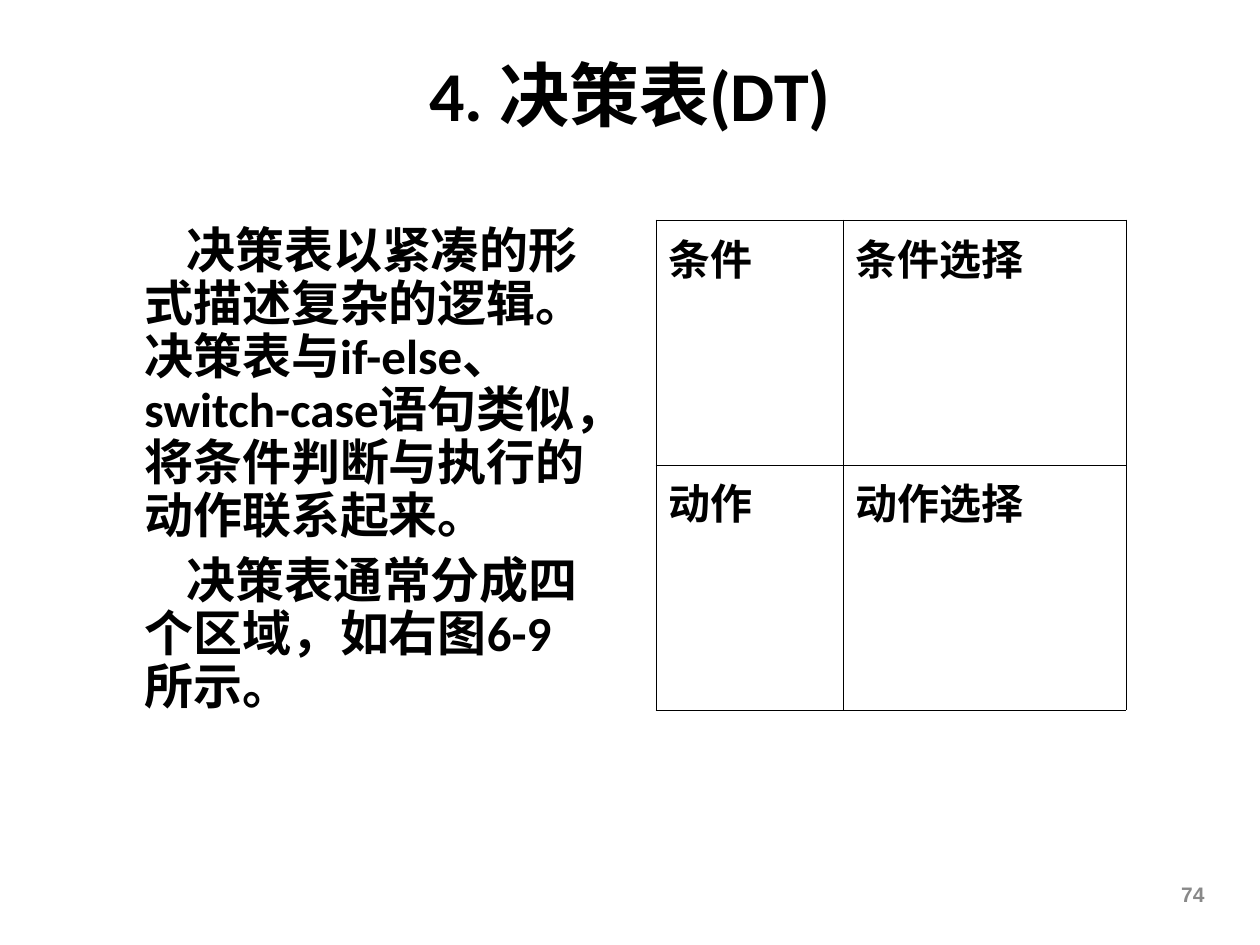
from dataclasses import dataclass

from lxml import etree
from pptx import Presentation
from pptx.dml.color import RGBColor
from pptx.enum.text import MSO_ANCHOR, PP_ALIGN
from pptx.oxml.ns import qn
from pptx.util import Pt

MIDDLE, TOP = MSO_ANCHOR.MIDDLE, MSO_ANCHOR.TOP
LEFT, CENTER, RIGHT = PP_ALIGN.LEFT, PP_ALIGN.CENTER, PP_ALIGN.RIGHT

TITLE = "4. 决策表(DT)"
BODY = [
    "决策表以紧凑的形式描述复杂的逻辑。决策表与if-else、switch-case语句类似，将条件判断与执行的动作联系起来。",
    "决策表通常分成四个区域，如右图6-9所示。",
]
QUADRANTS = [("条件", "条件选择"), ("动作", "动作选择")]
PAGE_NUMBER = "74"

SLIDE_SIZE = (1260, 945)
TITLE_BOX = (42, 32, 1176, 123)
BODY_BOX = (84, 220, 527, 580)
NUMBER_BOX = (902, 861, 315, 66)
TABLE_ORIGIN = (656, 220)
COLUMN_WIDTHS = (187, 283)
ROW_HEIGHT = 245
BODY_MARGIN, BODY_INDENT = 48, 42


@dataclass(frozen=True)
class Theme:
    ink: str = "000000"
    muted: str = "898989"
    main_font: str = "Calibri"
    table_font: str = "Times New Roman"
    number_font: str = "Arial"
    title_size: int = 40
    body_size: int = 28
    table_size: int = 24
    number_size: int = 12
    border_width: float = 0.45


THEME = Theme()


def px(length):
    return round(length * 914400 / 126)


def write(frame, texts, font, size, color=THEME.ink, align=LEFT, anchor=TOP):
    frame.word_wrap = True
    frame.vertical_anchor = anchor
    frame.text = "\n".join(texts)
    for paragraph in frame.paragraphs:
        paragraph.alignment = align
        paragraph.font.name = font
        paragraph.font.size = Pt(size)
        paragraph.font.bold = True
        paragraph.font.color.rgb = RGBColor.from_string(color)


def add_text(slide, box, *args, **options):
    shape = slide.shapes.add_textbox(*map(px, box))
    write(shape.text_frame, *args, **options)
    return shape.text_frame


def draw_borders(cell):
    properties = cell._tc.get_or_add_tcPr()
    for position, side in enumerate(("a:lnL", "a:lnR", "a:lnT", "a:lnB")):
        line = etree.Element(qn(side), w=str(Pt(THEME.border_width)))
        fill = etree.SubElement(line, qn("a:solidFill"))
        etree.SubElement(fill, qn("a:srgbClr"), val=THEME.ink)
        properties.insert(position, line)


def add_title(slide):
    title = slide.shapes.title
    title.left, title.top, title.width, title.height = map(px, TITLE_BOX)
    write(title.text_frame, [TITLE], THEME.main_font, THEME.title_size,
          align=CENTER, anchor=MIDDLE)


def add_body(slide):
    frame = add_text(slide, BODY_BOX, BODY, THEME.main_font, THEME.body_size)
    for index, paragraph in enumerate(frame.paragraphs):
        paragraph.line_spacing = 0.9
        paragraph.space_before = Pt(7 if index else 0)
        properties = paragraph._p.get_or_add_pPr()
        properties.set("marL", str(px(BODY_MARGIN)))
        properties.set("indent", str(px(BODY_INDENT)))


def add_decision_table(slide):
    size = (sum(COLUMN_WIDTHS), ROW_HEIGHT * len(QUADRANTS))
    table = slide.shapes.add_table(len(QUADRANTS), len(COLUMN_WIDTHS),
                                   *map(px, TABLE_ORIGIN + size)).table
    table.first_row = table.horz_banding = False
    for column, width in zip(table.columns, COLUMN_WIDTHS):
        column.width = px(width)
    for row, labels in zip(table.rows, QUADRANTS):
        row.height = px(ROW_HEIGHT)
        for cell, label in zip(row.cells, labels):
            write(cell.text_frame, [label], THEME.table_font, THEME.table_size)
            cell.fill.background()
            draw_borders(cell)


def main():
    presentation = Presentation()
    presentation.slide_width, presentation.slide_height = map(px, SLIDE_SIZE)
    slide = presentation.slides.add_slide(presentation.slide_layouts[5])
    add_title(slide)
    add_body(slide)
    add_decision_table(slide)
    add_text(slide, NUMBER_BOX, [PAGE_NUMBER], THEME.number_font,
             THEME.number_size, THEME.muted, RIGHT, MIDDLE)
    presentation.save("out.pptx")


if __name__ == "__main__":
    main()
